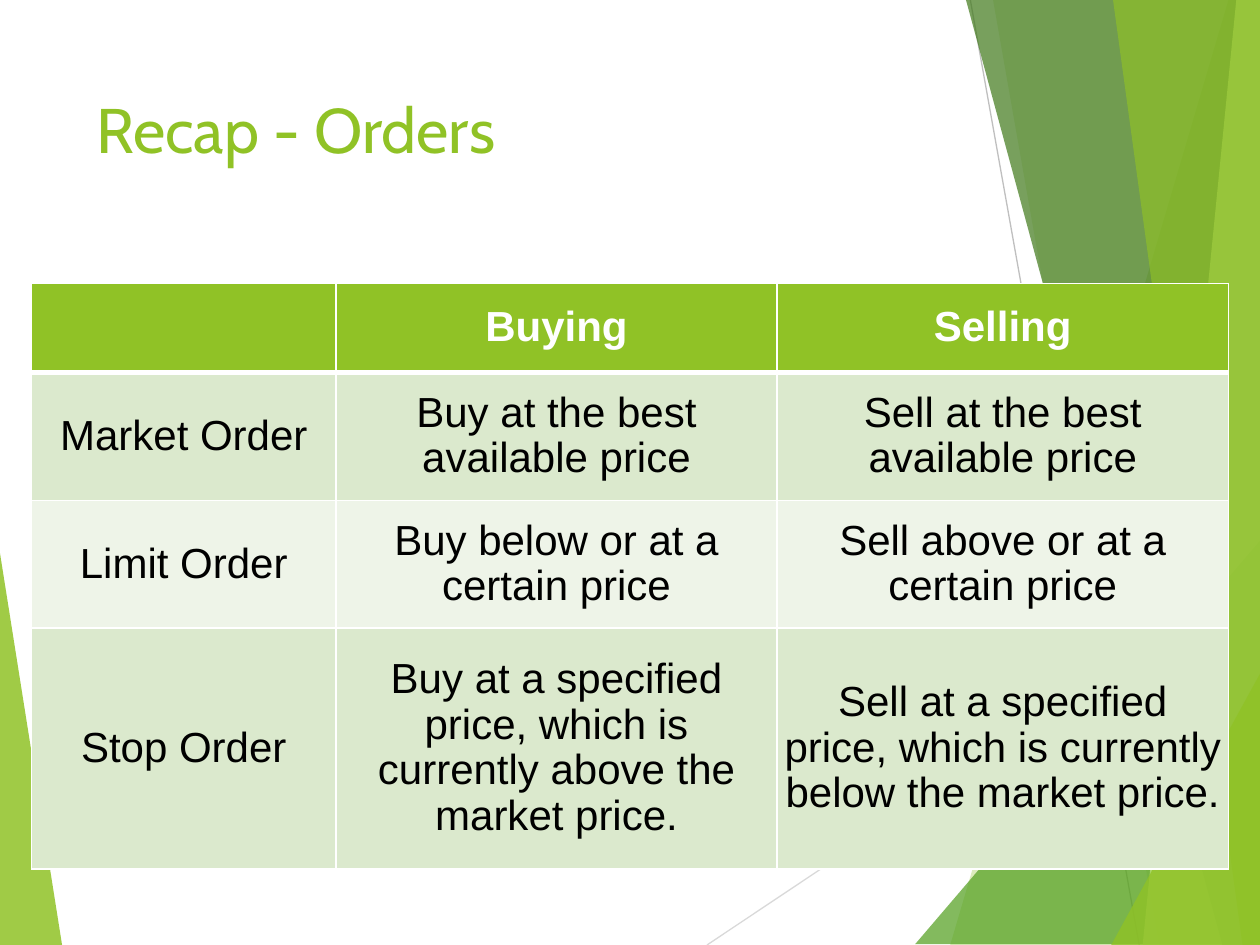
from lxml import etree
from pptx import Presentation
from pptx import util as u
from pptx.dml.color import RGBColor
from pptx.enum import shapes, text
from pptx.oxml.ns import qn

Pt = u.Pt
COLORS = {
    "green": "90C226", "leaf": "54A021", "forest": "3F7819", "lime": "C0E474",
    "band": "DBE9CD", "pale": "EEF4E8", "white": "FFFFFF", "black": "000000",
    "light_gray": "D9D9D9", "gray": "BFBFBF",
}


def rgb(name):
    return RGBColor.from_string(COLORS[name])


def write(tf, content, font="Arial", size=24, color="black", bold=False,
          align=text.PP_ALIGN.CENTER, spacing=None):
    tf.word_wrap = True
    p = tf.paragraphs[0]
    p.alignment = align
    p.line_spacing = spacing
    r = p.add_run()
    r.text = content
    r.font.name, r.font.size, r.font.bold = font, Pt(size), bold
    r.font.color.rgb = rgb(color)


prs = Presentation()
prs.slide_width, prs.slide_height = Pt(720), Pt(540)
s = prs.slides.add_slide(prs.slide_layouts[6])

# Background facets, back to front: color, opacity in percent, corners
left_facet = ("green", 85, [(0, 316), (35.5, 540), (0, 540)])
right_facets = [
    ("green", 30, [(702, 0), (543, 540), (720, 540), (720, 0)]),
    ("green", 20, [(567.5, 0), (662.5, 540), (720, 540), (720, 0)]),
    ("leaf", 72, [(523, 539.5), (720, 309), (720, 539.5)]),
    ("forest", 70, [(552, 0), (698.5, 540), (720, 540), (720, 0)]),
    ("lime", 70, [(706.5, 0), (653, 540), (720, 540), (720, 0)]),
    ("green", 65, [(636, 0), (710, 540), (720, 540), (720, 0)]),
    ("green", 80, [(635, 540), (720, 385), (720, 540)]),
]
rays = [("light_gray", (404, 540, 720, 329)), ("gray", (554.5, 0, 651, 540))]

for color, ends in rays:
    ray = s.shapes.add_connector(shapes.MSO_CONNECTOR.STRAIGHT, *map(Pt, ends))
    ray.line.color.rgb = rgb(color)
    ray.line.width = Pt(0.75)
    etree.SubElement(ray._element.spPr, qn("a:effectLst"))

for color, opacity, corners in [left_facet] + right_facets:
    points = [(Pt(x), Pt(y)) for x, y in corners]
    outline = s.shapes.build_freeform(*points[0])
    outline.add_line_segments(points[1:], close=True)
    sp = outline.convert_to_shape()
    sp.shadow.inherit = False
    sp.line.fill.background()
    sp.fill.solid()
    sp.fill.fore_color.rgb = rgb(color)
    fill_color = sp._element.spPr.find(qn("a:solidFill"))[0]
    etree.SubElement(fill_color, qn("a:alpha"), val=str(opacity * 1000))

title = s.shapes.add_textbox(Pt(48), Pt(48), Pt(500), Pt(104))
write(title.text_frame, "Recap - Orders", font="Cabin", size=36, color="green",
      align=text.PP_ALIGN.LEFT)

rows = [
    ("", "Buying", "Selling"),
    ("Market Order", "Buy at the best available price",
     "Sell at the best available price"),
    ("Limit Order", "Buy below or at a certain price",
     "Sell above or at a certain price"),
    ("Stop Order",
     "Buy at a specified price, which is currently above the market price.",
     "Sell at a specified price, which is currently below the market price."),
]
col_widths = [174, 252, 258]
row_heights = [51, 73, 73, 137.5]
row_fills = ["green", "band", "pale", "band"]

table = s.shapes.add_table(len(rows), len(col_widths), Pt(18), Pt(162),
                           Pt(sum(col_widths)), Pt(sum(row_heights))).table
for col, width in zip(table.columns, col_widths):
    col.width = Pt(width)
for i, (row, height) in enumerate(zip(rows, row_heights)):
    table.rows[i].height = Pt(height)
    for j, content in enumerate(row):
        cell = table.cell(i, j)
        cell.vertical_anchor = text.MSO_ANCHOR.MIDDLE
        cell.margin_left = cell.margin_right = Pt(3.6)
        cell.margin_top = cell.margin_bottom = Pt(3.6)
        # The rule between header and body is thicker than the others
        thick = {0: "lnB", 1: "lnT"}.get(i)
        for side in ("lnL", "lnR", "lnT", "lnB"):
            width = Pt(3 if side == thick else 1)
            ln = etree.SubElement(cell._tc.get_or_add_tcPr(), qn("a:" + side),
                                  w=str(width))
            solid = etree.SubElement(ln, qn("a:solidFill"))
            etree.SubElement(solid, qn("a:srgbClr"), val=COLORS["white"])
        cell.fill.solid()
        cell.fill.fore_color.rgb = rgb(row_fills[i])
        if content:
            write(cell.text_frame, content, color="black" if i else "white",
                  bold=i == 0, spacing=0.97)

prs.save("out.pptx")
